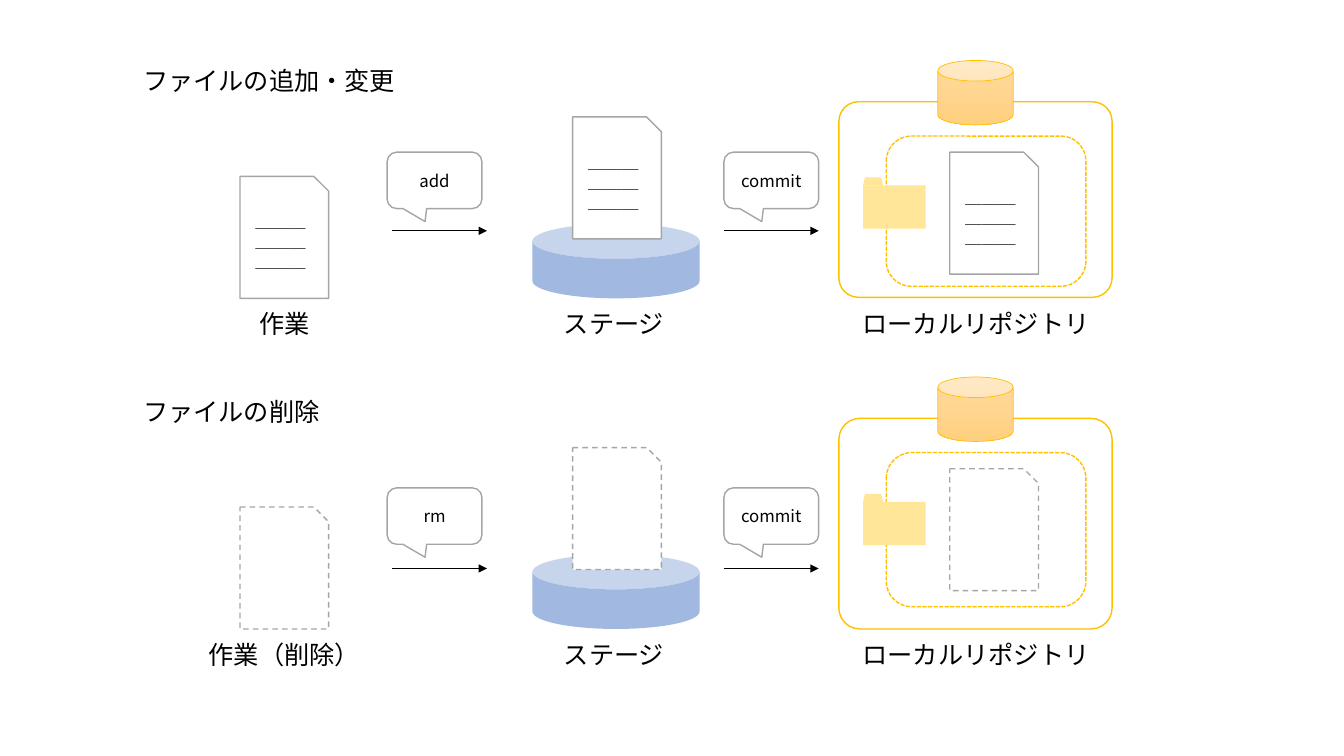
from copy import deepcopy

from lxml.etree import SubElement
from pptx import Presentation
from pptx.dml.color import RGBColor
from pptx.enum.dml import MSO_LINE
from pptx.enum.shapes import MSO_CONNECTOR, MSO_SHAPE
from pptx.enum.text import MSO_ANCHOR, PP_ALIGN
from pptx.oxml.ns import qn
from pptx.util import Inches, Pt

FONT = "Noto Sans CJK JP"
BLACK, WHITE, GRAY, BLUE = "000000", "FFFFFF", "A5A5A5", "4472C4"
GOLD, FOLDER = "FFC000", "FFE699"
DATABASE_STOPS = [(0, "FFDB9E"), (0.5, "FFD590"), (1, "FFD07C")]
FILE_WIDTH, FILE_HEIGHT = 0.88, 1.21
FILE_LINES = "＿" * 9


def paint(color_format, color):
    """Set a colour from a hex string."""
    color_format.rgb = RGBColor.from_string(color)


def write(holder, text, size, align=PP_ALIGN.CENTER):
    """Write one paragraph of black text in the slide's font."""
    frame = holder.text_frame
    frame.text = text
    frame.word_wrap = True
    paragraph = frame.paragraphs[0]
    paragraph.alignment = align
    for run in paragraph.runs:
        run.font.size = Pt(size)
        run.font.name = FONT
        paint(run.font.color, BLACK)
        SubElement(run.font._element, qn("a:ea")).set("typeface", FONT)


def add_label(slide, left, top, width, text, align=PP_ALIGN.CENTER):
    """Add an 18 point heading or caption."""
    label = slide.shapes.add_textbox(
        Inches(left), Inches(top), Inches(width), Inches(0.4))
    write(label, text, 18, align)


def add_block(shapes, preset, box, fill=None, line=None, weight=1, dash=None, adjust=()):
    """Add a preset shape with a flat fill and an optional outline."""
    block = shapes.add_shape(preset, *map(Inches, box))
    block.shadow.inherit = False
    for index, value in enumerate(adjust):
        block.adjustments[index] = value
    if fill:
        block.fill.solid()
        paint(block.fill.fore_color, fill)
    if line:
        paint(block.line.color, line)
        block.line.width = Pt(weight)
        if dash:
            block.line.dash_style = dash
    else:
        block.line.fill.background()
    return block


def add_file(slide, left, top, deleted):
    """Add a file with text lines, or a dashed one when it is deleted."""
    page = add_block(
        slide.shapes, MSO_SHAPE.SNIP_1_RECTANGLE, (left, top, FILE_WIDTH, FILE_HEIGHT),
        WHITE, GRAY, dash=MSO_LINE.DASH if deleted else None)
    if not deleted:
        write(page, FILE_LINES, 12)
        page.text_frame.vertical_anchor = MSO_ANCHOR.MIDDLE


def add_stage(slide, top):
    """Add the half-transparent stage platform."""
    stage = add_block(
        slide.shapes, MSO_SHAPE.CAN, (5.28, top, 1.66, 0.74), BLUE, adjust=[0.47])
    for color in stage.fill._xPr.iter(qn("a:srgbClr")):
        SubElement(color, qn("a:alpha")).set("val", "50000")


def add_database(slide, top):
    """Add the database cylinder with its vertical gradient."""
    database = add_block(
        slide.shapes, MSO_SHAPE.CAN, (9.3, top, 0.75, 0.64),
        line=GOLD, weight=0.5, adjust=[0.32])
    fill = database.fill
    fill.gradient()
    fill.gradient_angle = 270
    stop_list = fill._xPr.find(".//" + qn("a:gsLst"))
    stop_list.append(deepcopy(stop_list[-1]))
    for stop, (position, color) in zip(fill.gradient_stops, DATABASE_STOPS):
        stop.position = position
        paint(stop.color, color)


def add_folder(slide, top):
    """Add a folder made of a tab and a body."""
    folder = slide.shapes.add_group_shape()
    add_block(folder.shapes, MSO_SHAPE.RECTANGLE, (8.56, top + 0.08, 0.62, 0.43), FOLDER)
    add_block(folder.shapes, MSO_SHAPE.TRAPEZOID, (8.56, top, 0.2, 0.08), FOLDER)


def add_repository(slide, top, height, folder_height, deleted):
    """Add the local repository with its database, folder and file."""
    add_block(slide.shapes, MSO_SHAPE.ROUNDED_RECTANGLE, (8.32, top, 2.71, height),
              WHITE, GOLD, adjust=[0.1])
    add_database(slide, top - 0.41)
    add_block(slide.shapes, MSO_SHAPE.ROUNDED_RECTANGLE,
              (8.79, top + 0.34, 1.98, folder_height),
              WHITE, GOLD, dash=MSO_LINE.SQUARE_DOT)
    add_folder(slide, top + 0.75)
    add_file(slide, 9.42, top + 0.5, deleted)


def add_arrow(slide, left, top):
    """Add a thin arrow pointing right."""
    arrow = slide.shapes.add_connector(
        MSO_CONNECTOR.STRAIGHT, Inches(left), Inches(top), Inches(left + 0.94), Inches(top))
    paint(arrow.line.color, BLACK)
    arrow.line.width = Pt(0.5)
    SubElement(arrow.line._get_or_add_ln(), qn("a:tailEnd")).set("type", "triangle")
    SubElement(arrow._element.spPr, qn("a:effectLst"))


def add_command(slide, left, top, command):
    """Add a speech balloon naming a command."""
    balloon = add_block(
        slide.shapes, MSO_SHAPE.ROUNDED_RECTANGULAR_CALLOUT, (left, top, 0.94, 0.56),
        WHITE, GRAY, adjust=[-0.1, 0.73, 0.17])
    write(balloon, command, 12)
    balloon.text_frame.vertical_anchor = MSO_ANCHOR.MIDDLE


def add_flow(slide, top, heading, work, command, deleted, repository, balloon_top, arrow_top):
    """Add one flow from the working file to the local repository."""
    add_file(slide, 2.38, top + 1.15, deleted)
    add_stage(slide, top + 1.62)
    add_file(slide, 5.68, top + 0.56, deleted)
    add_repository(slide, *repository, deleted)
    add_label(slide, 1.32, top, 2.71, heading, PP_ALIGN.LEFT)
    captions = [(1.87, 1.9, work), (5.14, 1.9, "ステージ"), (8.44, 2.48, "ローカルリポジトリ")]
    for left, width, caption in captions:
        add_label(slide, left, top + 2.41, width, caption)
    for arrow_left, balloon_left, name in [(3.89, 3.84, command), (7.18, 7.18, "commit")]:
        add_arrow(slide, arrow_left, arrow_top)
        add_command(slide, balloon_left, balloon_top, name)


def main():
    """Build the slide with the add and remove flows."""
    presentation = Presentation()
    presentation.slide_width = Inches(13.33)
    presentation.slide_height = Inches(7.5)
    slide = presentation.slides.add_slide(presentation.slide_layouts[6])
    add_flow(slide, 0.6, "ファイルの追加・変更", "作業", "add", False,
             repository=(1.01, 1.94, 1.49), balloon_top=1.51, arrow_top=2.29)
    add_flow(slide, 3.88, "ファイルの削除", "作業（削除）", "rm", True,
             repository=(4.15, 2.09, 1.53), balloon_top=4.84, arrow_top=5.64)
    presentation.save("out.pptx")


main()
